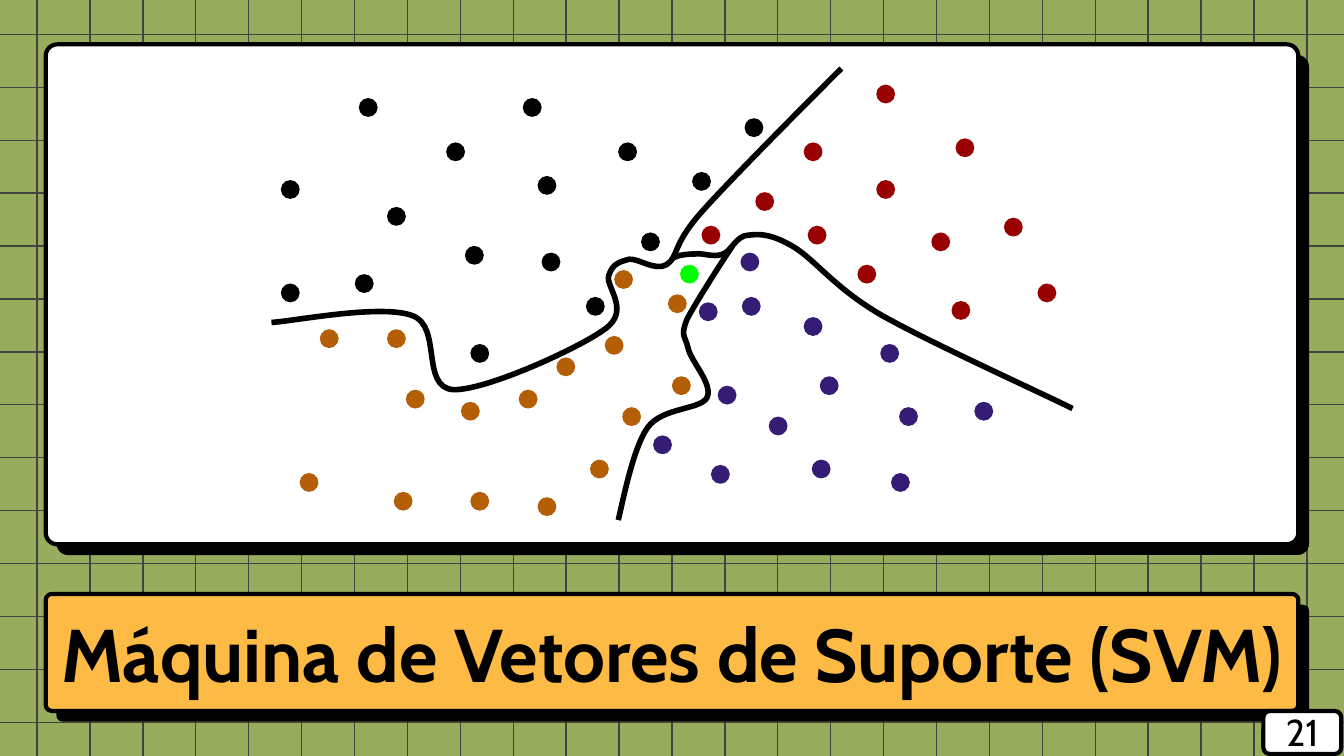
import dataclasses
from typing import Optional

import lxml.etree
import pptx
import pptx.dml.color
import pptx.enum.shapes
import pptx.enum.text
import pptx.oxml.ns
import pptx.shapes.group
import pptx.slide
import pptx.util

RGBColor = pptx.dml.color.RGBColor
Shapes = pptx.enum.shapes.MSO_SHAPE
qn = pptx.oxml.ns.qn

BLACK = RGBColor(0x00, 0x00, 0x00)
WHITE = RGBColor(0xFF, 0xFF, 0xFF)
GREEN_PAPER = RGBColor(0x97, 0xAC, 0x5D)
GRID_GRAY = RGBColor(0x43, 0x43, 0x43)
BANNER_ORANGE = RGBColor(0xFD, 0xBA, 0x45)
RED = RGBColor(0x99, 0x00, 0x00)
BROWN = RGBColor(0xB4, 0x5F, 0x06)
PURPLE = RGBColor(0x35, 0x1C, 0x75)
LIME = RGBColor(0x00, 0xFF, 0x00)

EMU_PER_PX = 9144  # 100 px to the inch
SLIDE_WIDTH = 1000
SLIDE_HEIGHT = SLIDE_WIDTH * 9 / 16
GRID_STEP = 39.37
DOT_SIZE = 14
SHADOW_OFFSET = 8
FONT = "Cabin"

Point = tuple[int, int]


@dataclasses.dataclass(frozen=True)
class Card:
    left: int
    top: int
    width: int
    height: int
    rounding: float
    fill: RGBColor
    has_shadow: bool = True


@dataclasses.dataclass(frozen=True)
class DataClass:
    color: RGBColor
    corners: tuple[Point, ...]


CHART_CARD = Card(34, 33, 932, 372, 0.023, WHITE)
BANNER = Card(34, 442, 932, 87, 0.052, BANNER_ORANGE)
PAGE_CARD = Card(940, 529, 58, 32, 0.151, WHITE, has_shadow=False)

# Left and top of every sample dot
DATA_CLASSES = (
    DataClass(BLACK, (
        (332, 106), (389, 73), (400, 131), (288, 154), (346, 183), (403, 188),
        (264, 204), (350, 256), (436, 221), (554, 88), (515, 128), (477, 173),
        (460, 106), (209, 211), (267, 73), (209, 134))),
    DataClass(RED, (
        (601, 168), (652, 134), (711, 103), (638, 197), (693, 173), (747, 162),
        (562, 143), (598, 106), (652, 63), (522, 168), (708, 224), (772, 211))),
    DataClass(BROWN, (
        (500, 280), (497, 219), (463, 303), (414, 266), (350, 366), (343, 299),
        (288, 245), (457, 201), (386, 290), (302, 290), (293, 366), (223, 352),
        (238, 245), (439, 342), (400, 370), (450, 250))),
    DataClass(PURPLE, (
        (610, 280), (669, 303), (604, 342), (572, 310), (534, 287), (552, 221),
        (520, 225), (598, 236), (655, 256), (486, 324), (529, 346), (551, 188),
        (725, 299), (663, 352))),
    DataClass(LIME, ((506, 197),)),
)

# Cubic curves: a start point, then two control points and an end per segment
BOUNDARIES: tuple[tuple[Point, ...], ...] = (
    ((202, 240), (219, 239), (284, 226), (307, 235), (329, 243), (313, 288),
     (337, 290), (361, 291), (431, 259), (450, 245), (470, 231), (450, 213),
     (453, 205), (456, 196), (461, 195), (468, 193), (475, 192), (487, 202),
     (496, 197), (505, 191), (500, 183), (521, 159), (543, 134), (608, 69),
     (626, 51)),
    ((798, 304), (774, 292), (690, 254), (655, 234), (621, 214), (607, 194),
     (591, 184), (574, 174), (566, 174), (557, 175), (548, 175), (544, 187),
     (538, 189), (531, 192), (523, 188), (517, 189), (511, 189), (505, 190),
     (503, 191), (500, 192), (501, 192), (500, 193)),
    ((460, 387), (463, 375), (471, 333), (482, 318), (493, 303), (521, 305),
     (526, 296), (531, 286), (514, 269), (512, 259), (510, 250), (506, 251),
     (511, 238), (517, 226), (539, 192), (545, 183)),
)


def px(length: float) -> pptx.util.Emu:
    return pptx.util.Emu(round(length * EMU_PER_PX))


def add_grid_line(group: pptx.shapes.group.GroupShape, start: tuple[float, float],
                  end: tuple[float, float]) -> None:
    line = group.shapes.add_connector(
        pptx.enum.shapes.MSO_CONNECTOR.STRAIGHT, *map(px, start + end))
    line.line.color.rgb = GRID_GRAY
    line.line.width = pptx.util.Pt(0.75)
    properties = line.element.find(qn("p:spPr"))
    lxml.etree.SubElement(properties, qn("a:effectLst"))


def add_grid(slide: pptx.slide.Slide) -> None:
    """Draw the squared paper and move it to the slide's layout."""
    rows = slide.shapes.add_group_shape()
    for row in range(14):
        y = 25.6 + row * GRID_STEP
        add_grid_line(rows, (0, y), (SLIDE_WIDTH, y))
    columns = slide.shapes.add_group_shape()
    for column in range(25):
        x = 27.56 + column * GRID_STEP
        add_grid_line(columns, (x, 0), (x, SLIDE_HEIGHT))

    layout = slide.slide_layout
    title_type = pptx.enum.shapes.PP_PLACEHOLDER.TITLE
    for placeholder in list(layout.placeholders):
        if placeholder.placeholder_format.type != title_type:
            layout.shapes.element.remove(placeholder.element)
    for group in (rows, columns):
        layout.shapes.element.append(group.element)


def add_filled_shape(slide: pptx.slide.Slide, kind: Shapes, box: tuple[int, int, int, int],
                     fill: RGBColor, outline: Optional[RGBColor] = None,
                     rounding: Optional[float] = None) -> None:
    shape = slide.shapes.add_shape(kind, *map(px, box))
    shape.shadow.inherit = False
    shape.fill.solid()
    shape.fill.fore_color.rgb = fill
    if outline is None:
        shape.line.fill.background()
    else:
        shape.line.color.rgb = outline
        shape.line.width = pptx.util.Pt(2.25)
    if rounding is not None:
        shape.adjustments[0] = rounding


def add_card(slide: pptx.slide.Slide, card: Card) -> None:
    size = (card.width, card.height)
    if card.has_shadow:
        shadow_box = (card.left + SHADOW_OFFSET, card.top + SHADOW_OFFSET, *size)
        add_filled_shape(slide, Shapes.ROUNDED_RECTANGLE, shadow_box, BLACK,
                         rounding=card.rounding)
    add_filled_shape(slide, Shapes.ROUNDED_RECTANGLE, (card.left, card.top, *size),
                     card.fill, BLACK, card.rounding)


def add_boundary(slide: pptx.slide.Slide, points: tuple[Point, ...]) -> None:
    start, *rest = points
    builder = slide.shapes.build_freeform(*start, scale=EMU_PER_PX)
    builder.add_line_segments(rest, close=False)
    shape = builder.convert_to_shape()
    shape.shadow.inherit = False
    shape.fill.background()
    shape.line.color.rgb = BLACK
    shape.line.width = pptx.util.Pt(3)

    # Join every three straight segments into one cubic curve
    segments = list(shape.element.iter(qn("a:lnTo")))
    outline = segments[0].getparent()
    for first in range(0, len(segments), 3):
        curve = lxml.etree.SubElement(outline, qn("a:cubicBezTo"))
        for segment in segments[first:first + 3]:
            curve.append(segment[0])
            outline.remove(segment)


def set_text(shape, box: tuple[int, int, int, int], text: str, size: int,
             bold: bool, margins: tuple[int, int]) -> None:
    shape.left, shape.top, shape.width, shape.height = map(px, box)
    frame = shape.text_frame
    frame.word_wrap = True
    frame.auto_size = pptx.enum.text.MSO_AUTO_SIZE.NONE
    frame.vertical_anchor = pptx.enum.text.MSO_ANCHOR.MIDDLE
    frame.margin_left = frame.margin_right = px(margins[0])
    frame.margin_top = frame.margin_bottom = px(margins[1])
    frame.text = text
    paragraph = frame.paragraphs[0]
    paragraph.alignment = pptx.enum.text.PP_ALIGN.CENTER
    paragraph.font.name = FONT
    paragraph.font.size = pptx.util.Pt(size)
    paragraph.font.bold = bold
    paragraph.font.color.rgb = BLACK


def main() -> None:
    presentation = pptx.Presentation()
    presentation.slide_width = px(SLIDE_WIDTH)
    presentation.slide_height = px(SLIDE_HEIGHT)
    slide = presentation.slides.add_slide(presentation.slide_layouts[5])

    # Squared paper
    slide.background.fill.solid()
    slide.background.fill.fore_color.rgb = GREEN_PAPER
    add_grid(slide)

    # Samples and the boundaries between their classes
    add_card(slide, CHART_CARD)
    for data_class in DATA_CLASSES:
        for corner in data_class.corners:
            add_filled_shape(slide, Shapes.OVAL, (*corner, DOT_SIZE, DOT_SIZE),
                             data_class.color)
    for boundary in BOUNDARIES:
        add_boundary(slide, boundary)

    # Title, brought in front of its banner
    add_card(slide, BANNER)
    title = slide.shapes.title
    set_text(title, (BANNER.left, BANNER.top, BANNER.width, BANNER.height),
             "Máquina de Vetores de Suporte (SVM)", 40, True, (10, 10))
    slide.shapes.element.append(title.element)

    # Page number
    add_card(slide, PAGE_CARD)
    page_box = (PAGE_CARD.left, 517, PAGE_CARD.width, 55)
    set_text(slide.shapes.add_textbox(*map(px, page_box)), page_box, "21", 20, False, (6, 0))

    presentation.save("out.pptx")


if __name__ == "__main__":
    main()
